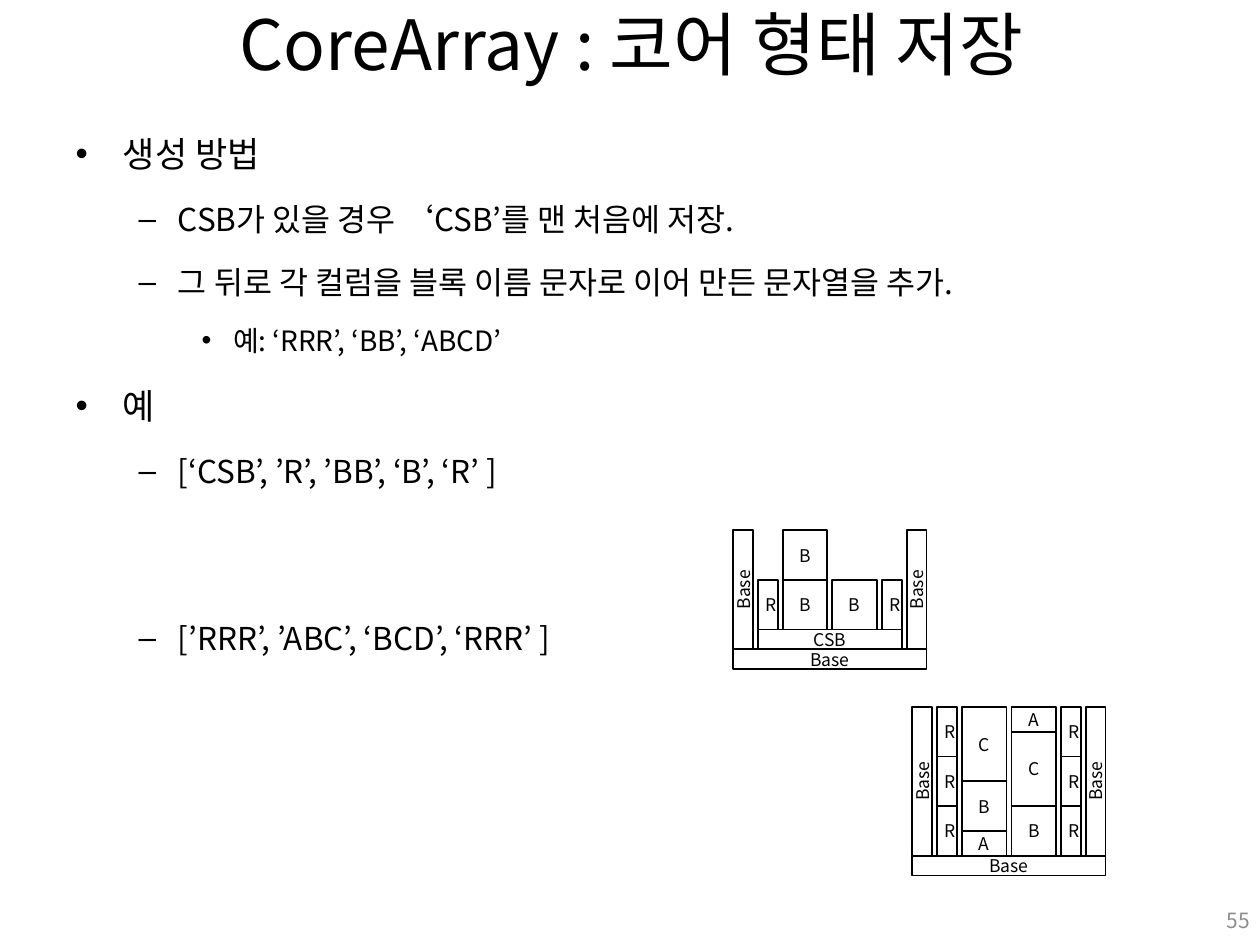
from lxml.etree import SubElement
from pptx import Presentation
from pptx.dml.color import RGBColor as RGB
from pptx.enum.shapes import MSO_SHAPE as SHAPE
from pptx.enum.text import MSO_ANCHOR as ANCHOR, MSO_AUTO_SIZE as AUTOSIZE, PP_ALIGN as ALIGN
from pptx.oxml.ns import qn
from pptx.util import Cm, Pt

COLORS = {"text": "000000", "paper": "FFFFFF", "number": "8C8C8C"}
FONT = "Noto Sans CJK KR"
LEVEL_SIZES = [20, 18, 16]
BLOCK_SIZES = {"A": (0.9, 0.5), "B": (0.9, 1.0), "C": (0.9, 1.5), "R": (0.4, 1.0)}
BAR = 0.4
GAP = 0.1

OUTLINE = [
    (0, "생성 방법", 0),
    (1, "CSB가 있을 경우 ‘CSB’를 맨 처음에 저장.", None),
    (1, "그 뒤로 각 컬럼을 블록 이름 문자로 이어 만든 문자열을 추가.", None),
    (2, "예: ‘RRR’, ‘BB’, ‘ABCD’", None),
    (0, "예", None),
    (1, "[‘CSB’, ’R’, ’BB’, ‘B’, ‘R’ ]", None),
    (1, "[’RRR’, ’ABC’, ‘BCD’, ‘RRR’ ]", 63),
]


def set_values(target, values):
    """Set every attribute named in values on target."""
    for name, value in values.items():
        setattr(target, name, value)


class CoreSlide:
    """Holds the style and the slide being filled."""

    def __init__(self, deck):
        """Add a title-and-content slide to the deck."""
        self.slide = deck.slides.add_slide(deck.slide_layouts[1])

    def place(self, holder, left, top, width, height):
        """Move an element to a frame given in centimetres."""
        set_values(holder, {"left": Cm(left), "top": Cm(top), "width": Cm(width), "height": Cm(height)})

    def add_words(self, paragraph, words, size, color="text", **layout):
        """Put one formatted run into a paragraph."""
        set_values(paragraph, layout)
        run = paragraph.add_run()
        run.text = words
        set_values(run.font, {"name": FONT, "size": Pt(size)})
        run.font.color.rgb = RGB.from_string(COLORS[color])
        SubElement(run.font._element, qn("a:ea"), typeface=FONT)

    def title(self, words):
        """Fill the title placeholder."""
        heading = self.slide.shapes.title
        self.place(heading, 1.3, 0, 22.86, 1.73)
        set_values(heading.text_frame, {"auto_size": AUTOSIZE.NONE, "vertical_anchor": ANCHOR.MIDDLE})
        self.add_words(heading.text_frame.paragraphs[0], words, 39.6, alignment=ALIGN.CENTER)

    def outline(self, items):
        """Fill the body placeholder with a multi-level list."""
        body = self.slide.placeholders[1]
        self.place(body, 1.27, 2.13, 22.86, 14.88)
        frame = body.text_frame
        frame.auto_size = AUTOSIZE.NONE
        for index, (level, words, before) in enumerate(items):
            paragraph = frame.add_paragraph() if index else frame.paragraphs[0]
            layout = {"level": level, "line_spacing": 1.5}
            if before is not None:
                layout["space_before"] = Pt(before)
            self.add_words(paragraph, words, LEVEL_SIZES[level], **layout)

    def block(self, group, label, left, top, width, height, upright=False):
        """Draw one labelled rectangle in a group."""
        box = group.shapes.add_shape(SHAPE.RECTANGLE, Cm(left), Cm(top), Cm(width), Cm(height))
        box.shadow.inherit = False
        box.fill.solid()
        box.fill.fore_color.rgb = RGB.from_string(COLORS["paper"])
        box.line.color.rgb = RGB.from_string(COLORS["text"])
        box.line.width = Pt(1)
        frame = box.text_frame
        frame.vertical_anchor = ANCHOR.MIDDLE
        if upright:
            frame._txBody.bodyPr.set("vert", "vert270")
        self.add_words(frame.paragraphs[0], label, 10, alignment=ALIGN.CENTER)

    def core(self, left, floor, columns, csb=False):
        """Draw a core whose columns are stacked upwards from the floor."""
        group = self.slide.shapes.add_group_shape()
        inner = left + BAR + GAP
        span = sum(BLOCK_SIZES[column[0]][0] + GAP for column in columns) - GAP
        base = floor - BAR if csb else floor
        if csb:
            self.block(group, "CSB", inner, base, span, BAR)
        peak = base
        x = inner
        for column in columns:
            y = base
            for name in column:
                width, height = BLOCK_SIZES[name]
                y -= height
                self.block(group, name, x, y, width, height)
            peak = min(peak, y)
            x += width + GAP
        self.block(group, "Base", left, floor, span + 2 * (BAR + GAP), BAR)
        for wall in (left, x):
            self.block(group, "Base", wall, peak, BAR, floor - peak, upright=True)

    def page_number(self, number):
        """Put the page number in the lower right corner."""
        corner = self.slide.shapes.add_textbox(Cm(19.53), Cm(18.03), Cm(5.92), Cm(1.02))
        set_values(corner.text_frame, {"word_wrap": True, "vertical_anchor": ANCHOR.MIDDLE})
        self.add_words(corner.text_frame.paragraphs[0], number, 12, "number", alignment=ALIGN.RIGHT)


def main():
    """Build and save the slide."""
    deck = Presentation()
    set_values(deck, {"slide_width": Cm(25.4), "slide_height": Cm(19.05)})
    page = CoreSlide(deck)
    page.title("CoreArray : 코어 형태 저장")
    page.outline(OUTLINE)
    page.core(14.78, 13.09, ["R", "BB", "B", "R"], csb=True)
    page.core(18.39, 17.25, ["RRR", "ABC", "BCA", "RRR"])
    page.page_number("55")
    deck.save("out.pptx")


if __name__ == "__main__":
    main()
